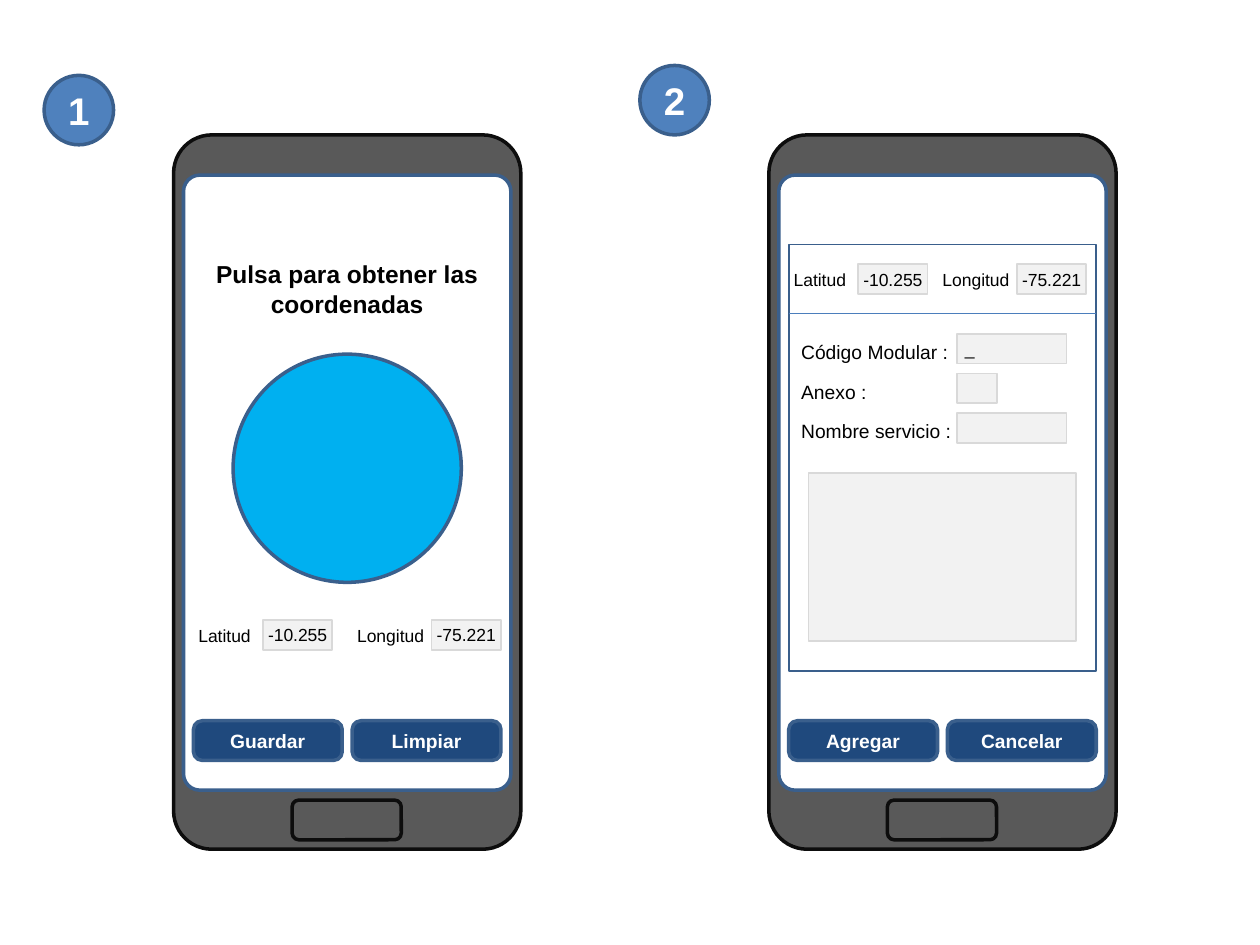
"""Builds a slide with two phone mockups for saving service coordinates."""
from dataclasses import dataclass

from lxml.etree import SubElement
from pptx import Presentation
from pptx.dml.color import RGBColor
from pptx.enum.shapes import MSO_CONNECTOR, MSO_SHAPE as Kind
from pptx.enum.text import MSO_ANCHOR as Anchor, MSO_AUTO_SIZE as AutoSize, PP_ALIGN as Align
from pptx.oxml.ns import qn
from pptx.util import Cm, Pt


@dataclass(frozen=True)
class Theme:
    font: str = "Arial"
    ink: str = "000000"
    white: str = "FFFFFF"
    badge: str = "4F81BD"
    outline: str = "3A5F8C"
    body: str = "595959"
    body_edge: str = "0D0D0D"
    tap: str = "00B0F0"
    button: str = "1F497D"
    field: str = "F2F2F2"
    field_edge: str = "D9D9D9"
    divider: str = "4B7EBC"
    badge_size: float = 22
    heading_size: float = 14
    label_size: float = 11
    value_size: float = 10
    thick: float = 2
    thin: float = 1
    hairline: float = 0.75


class Mockup:
    wide = (0.25, 0.13, 0.25, 0.13)
    tight = (0.1, 0.1, 0.1, 0.1)
    snug = (0.1, 0.13, 0.1, 0.13)
    indented = (0.15, 0.13, 0.1, 0.13)

    def __init__(self, slide, theme):
        self.slide = slide
        self.theme = theme
        self.canvas = slide.shapes

    def start_group(self):
        self.canvas = self.slide.shapes.add_group_shape().shapes

    def end_group(self):
        self.canvas = self.slide.shapes

    def shape(self, kind, box, fill, edge, width, corner=None):
        item = self.canvas.add_shape(kind, *map(Cm, box))
        item.shadow.inherit = False
        if fill:
            item.fill.solid()
            item.fill.fore_color.rgb = RGBColor.from_string(fill)
        else:
            item.fill.background()
        item.line.color.rgb = RGBColor.from_string(edge)
        item.line.width = Pt(width)
        if corner is not None:
            item.adjustments[0] = corner
        return item

    def put_text(self, item, words, size, color, bold=False, align=Align.CENTER,
                 insets=wide, anchor=Anchor.MIDDLE):
        frame = item.text_frame
        frame.word_wrap = True
        frame.vertical_anchor = anchor
        (frame.margin_left, frame.margin_top,
         frame.margin_right, frame.margin_bottom) = map(Cm, insets)
        paragraph = frame.paragraphs[0]
        paragraph.text = words
        paragraph.alignment = align
        font = paragraph.font
        font.name, font.size, font.bold = self.theme.font, Pt(size), bold
        font.color.rgb = RGBColor.from_string(color)

    def text(self, words, box, size, bold=False, align=Align.LEFT, insets=tight):
        item = self.canvas.add_textbox(*map(Cm, box))
        self.put_text(item, words, size, self.theme.ink, bold, align, insets, Anchor.TOP)
        item.text_frame.auto_size = AutoSize.SHAPE_TO_FIT_TEXT

    def badge(self, number, left, top):
        t = self.theme
        circle = self.shape(Kind.FLOWCHART_CONNECTOR, (left, top, 1.4, 1.4),
                            t.badge, t.outline, t.thick)
        self.put_text(circle, number, t.badge_size, t.white, bold=True)

    def phone(self, left):
        t = self.theme
        rounded = Kind.ROUNDED_RECTANGLE
        self.shape(rounded, (left, 2.72, 7, 14.4), t.body, t.body_edge, t.thick, 0.11)
        self.shape(rounded, (left + 0.2, 3.53, 6.6, 12.4), t.white, t.outline, t.thick, 0.05)
        self.shape(rounded, (left + 2.39, 16.13, 2.2, 0.8), t.body, t.body_edge, t.thick)

    def tap_circle(self, left, top, diameter):
        t = self.theme
        self.shape(Kind.OVAL, (left, top, diameter, diameter), t.tap, t.outline, t.thick)

    def field(self, left, top, width, height=0.6, words="", align=Align.CENTER, insets=snug):
        t = self.theme
        box = self.shape(Kind.RECTANGLE, (left, top, width, height),
                         t.field, t.field_edge, t.thin)
        if words:
            self.put_text(box, words, t.value_size, t.ink, align=align, insets=insets)

    def coordinates(self, left, top, pitch):
        readings = (("Latitud", "-10.255", 1.8, 1.4), ("Longitud", "-75.221", 1.6, 1.6))
        for column, (name, value, width, offset) in enumerate(readings):
            start = left + column * pitch
            self.text(name, (start, top, width, 0.63), self.theme.value_size)
            self.field(start + offset, top, 1.4, words=value)

    def buttons(self, left, names):
        t = self.theme
        for column, name in enumerate(names):
            button = self.shape(Kind.ROUNDED_RECTANGLE, (left + column * 3.2, 14.53, 3, 0.8),
                                t.button, t.outline, t.thick, 0.22)
            self.put_text(button, name, t.label_size, t.white, bold=True)

    def panel(self, left, top, width, height, divider_top):
        t = self.theme
        self.shape(Kind.RECTANGLE, (left, top, width, height), None, t.outline, t.thin)
        divider = self.canvas.add_connector(
            MSO_CONNECTOR.STRAIGHT,
            *map(Cm, (left, divider_top, left + width, divider_top)))
        divider.line.color.rgb = RGBColor.from_string(t.divider)
        divider.line.width = Pt(t.hairline)
        SubElement(divider._element.spPr, qn("a:effectLst"))

    def form(self, left, top, rows):
        for index, (name, width, entry) in enumerate(rows):
            row_top = top + index * 0.8
            self.text(name, (left, row_top, 4.2, 0.74), self.theme.label_size, insets=self.wide)
            self.field(left + 3.4, row_top, width, words=entry,
                       align=Align.LEFT, insets=self.indented)


def main():
    deck = Presentation()
    deck.slide_width, deck.slide_height = Cm(25.4), Cm(19.05)
    theme = Theme()
    mockup = Mockup(deck.slides.add_slide(deck.slide_layouts[6]), theme)
    capture_left, register_left = 3.5, 15.5
    margin = 0.4

    mockup.badge("1", 0.89, 1.52)
    mockup.start_group()
    mockup.phone(capture_left)
    content = capture_left + margin
    mockup.text("Pulsa para obtener las coordenadas", (content, 5.13, 6.2, 1.4),
                theme.heading_size, bold=True, align=Align.CENTER)
    mockup.tap_circle(capture_left + 1.2, 7.14, 4.6)
    mockup.coordinates(content, 12.5, 3.2)
    mockup.buttons(content, ("Guardar", "Limpiar"))
    mockup.end_group()

    mockup.badge("2", 12.9, 1.32)
    mockup.phone(register_left)
    content = register_left + margin
    mockup.coordinates(content, 5.33, 3)
    mockup.buttons(content, ("Agregar", "Cancelar"))
    mockup.panel(content, 4.93, 6.2, 8.6, divider_top=6.32)
    mockup.form(content, 6.73, (("Código Modular :", 2.2, "_"),
                                ("Anexo :", 0.8, ""),
                                ("Nombre servicio :", 2.2, "")))
    mockup.field(content + 0.4, 9.53, 5.4, 3.4)

    deck.save("out.pptx")


if __name__ == "__main__":
    main()
